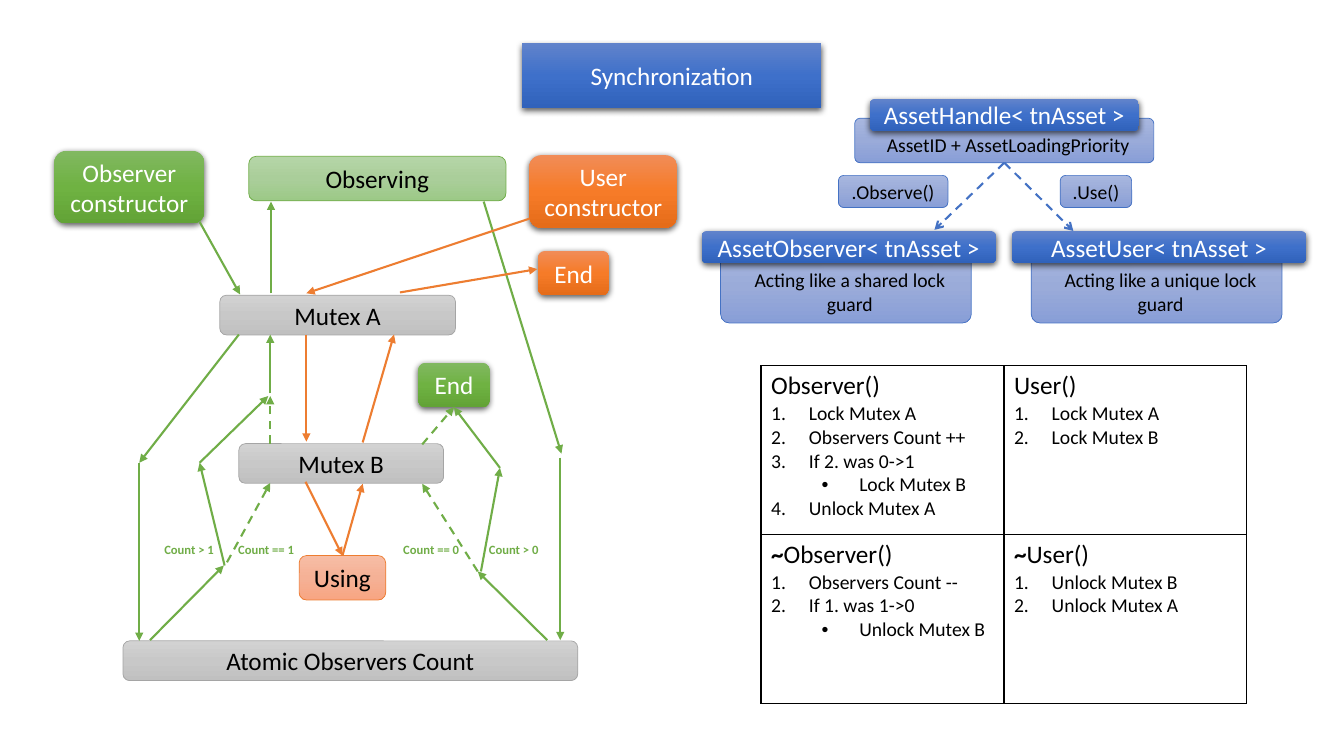
from collections import namedtuple
from copy import deepcopy

from lxml import etree
from pptx import Presentation
from pptx.dml.color import RGBColor
from pptx.enum.dml import MSO_LINE
from pptx.enum.shapes import MSO_CONNECTOR, MSO_SHAPE
from pptx.enum.text import MSO_ANCHOR, PP_ALIGN
from pptx.oxml import parse_xml
from pptx.oxml.ns import nsdecls, qn
from pptx.util import Cm, Pt

ROUNDED, STRAIGHT, DASH = MSO_SHAPE.ROUNDED_RECTANGLE, MSO_CONNECTOR.STRAIGHT, MSO_LINE.DASH
MIDDLE, BOTTOM, CENTER, LEFT = MSO_ANCHOR.MIDDLE, MSO_ANCHOR.BOTTOM, PP_ALIGN.CENTER, PP_ALIGN.LEFT
TOP_SIDE, BOTTOM_SIDE = 0, 2
FONT = "Calibri"

BLACK, WHITE = RGBColor(0, 0, 0), RGBColor(255, 255, 255)
BLUE, GREEN = RGBColor(0x44, 0x72, 0xC4), RGBColor(0x70, 0xAD, 0x47)
ORANGE, GRAY = RGBColor(0xED, 0x7D, 0x31), RGBColor(0xA5, 0xA5, 0xA5)


def shades(*codes):
    return [RGBColor.from_string(code) for code in codes]


# A look without an edge colour is raised by a shadow
Look = namedtuple("Look", "stops edge ink")
BLUE_STRONG = Look(shades("6183CB", "3E70CA", "3062BB"), None, WHITE)
GREEN_STRONG = Look(shades("81B861", "6FB242", "62A336"), None, WHITE)
ORANGE_STRONG = Look(shades("F18C57", "F67B28", "E56C19"), None, WHITE)
BLUE_SOFT = Look(shades("A8B7DF", "9AABD9", "889ED7"), BLUE, BLACK)
GREEN_SOFT = Look(shades("B5D5A7", "AACE9A", "9CC987"), GREEN, BLACK)
ORANGE_SOFT = Look(shades("F7BDA5", "F5B196", "F8A582"), ORANGE, BLACK)
GRAY_SOFT = Look(shades("D2D2D2", "C8C8C8", "C0C0C0"), GRAY, BLACK)


def set_font(para, size, color, bold=False):
    font = para.font
    font.name, font.size, font.bold = FONT, Pt(size), bold
    font.color.rgb = color


def paint(shape, look):
    shape.fill.gradient()
    shape.fill.gradient_angle = 270
    stop_list = shape.fill._xPr.find(".//" + qn("a:gsLst"))
    stop_list.insert(1, deepcopy(stop_list[0]))
    for stop, color, position in zip(shape.fill.gradient_stops, look.stops, (0, 0.5, 1)):
        stop.color.rgb, stop.position = color, position
    shape.shadow.inherit = False
    if look.edge is not None:
        shape.line.color.rgb, shape.line.width = look.edge, Pt(0.5)
        return
    shape.line.fill.background()
    effects = shape._element.spPr.find(qn("a:effectLst"))
    effects.append(parse_xml(
        f'<a:outerShdw {nsdecls("a")} blurRad="57150" dist="19050" dir="5400000" algn="ctr" '
        'rotWithShape="0"><a:srgbClr val="000000"><a:alpha val="63000"/></a:srgbClr></a:outerShdw>'))


def write(shape, text, size, color, anchor=MIDDLE, bold=False):
    frame = shape.text_frame
    frame.word_wrap, frame.vertical_anchor = True, anchor
    para = frame.paragraphs[0]
    para.text, para.alignment = text, CENTER
    set_font(para, size, color, bold)
    return para


def add_box(page, origin, left, top, width, height, text, look, size=18, anchor=MIDDLE):
    box = page.shapes.add_shape(ROUNDED, Cm(origin[0] + left), Cm(origin[1] + top),
                                Cm(width), Cm(height))
    paint(box, look)
    write(box, text, size, look.ink, anchor)
    return box


def add_arrow(page, origin, start, end, color, dashed=False, head="triangle"):
    """Each end is an (x, y) point or a (shape, side) pair to join."""
    def is_point(spot):
        return isinstance(spot[0], (int, float))

    ends = [[Cm(origin[i] + spot[i]) if is_point(spot) else 0 for i in (0, 1)]
            for spot in (start, end)]
    arrow = page.shapes.add_connector(STRAIGHT, *ends[0], *ends[1])
    if not is_point(start):
        arrow.begin_connect(*start)
    if not is_point(end):
        arrow.end_connect(*end)
    arrow.line.color.rgb, arrow.line.width = color, Pt(1.5)
    if dashed:
        arrow.line.dash_style = DASH
    etree.SubElement(arrow.line._get_or_add_ln(), qn("a:tailEnd"), type=head)
    etree.SubElement(arrow._element.spPr, qn("a:effectLst"))


def build_title(page, left, top):
    title = page.shapes.title
    title.left, title.top, title.width, title.height = Cm(left), Cm(top), Cm(7.54), Cm(1.63)
    title._element.spPr.insert(1, parse_xml(
        f'<a:prstGeom {nsdecls("a")} prst="roundRect"><a:avLst/></a:prstGeom>'))
    paint(title, BLUE_STRONG)
    write(title, "Synchronization", 18, WHITE)


def build_handles(page, *origin):
    # Cards: header left, top, width, name; body left, width, height, note
    cards = [
        (4.24, 0, 6.78, "AssetHandle< tnAsset >", 3.86, 7.54, 1.12, "AssetID + AssetLoadingPriority"),
        (7.82, 3.33, 7.42, "AssetUser< tnAsset >", 8.31, 6.32, 1.83, "Acting like a unique lock guard"),
        (0, 3.33, 7.42, "AssetObserver< tnAsset >", 0.48, 6.32, 1.83, "Acting like a shared lock guard"),
    ]
    bodies = []
    for left, top, width, name, body_left, body_width, body_height, note in cards:
        body = add_box(page, origin, body_left, top + 0.49, body_width, body_height,
                       note, BLUE_SOFT, 14, BOTTOM)
        body.adjustments[0] = 0.122
        body.text_frame.paragraphs[0]._p.get_or_add_pPr().set("marL", str(Cm(0.2)))
        bodies.append(body)
        add_box(page, origin, left, top, width, 0.81, name, BLUE_STRONG)
    for end in ((5.87, 3.3), (9.37, 3.33)):
        add_arrow(page, origin, (bodies[0], BOTTOM_SIDE), end, BLUE, True, "arrow")
    for left, width, call in ((3.45, 2.76, ".Observe()"), (9.04, 1.8, ".Use()")):
        add_box(page, origin, left, 1.93, width, 0.81, call, BLUE_SOFT, 14)


def build_flow(page, *origin):
    # Steps
    for step in [
        (4.17, 3.64, 5.94, 1, "Mutex A", GRAY_SOFT),
        (4.65, 7.38, 5.16, 1, "Mutex B", GRAY_SOFT),
        (1.73, 12.35, 11.46, 1, "Atomic Observers Count", GRAY_SOFT),
        (0, 0, 3.78, 1.83, "Observer constructor", GREEN_STRONG),
        (4.9, 0.14, 6.48, 1.12, "Observing", GREEN_SOFT),
        (11.97, 0.11, 3.73, 1.83, "User constructor", ORANGE_STRONG),
        (12.19, 2.52, 1.8, 1.12, "End", ORANGE_STRONG),
    ]:
        add_box(page, origin, *step)
    observer_end = add_box(page, origin, 9.17, 5.34, 1.8, 1.12, "End", GREEN_STRONG)
    using = add_box(page, origin, 6.17, 10.2, 2.18, 1.12, "Using", ORANGE_SOFT)
    released, used = (observer_end, BOTTOM_SIDE), (using, TOP_SIDE)

    # Observer route, with dashed branches for the first and last observer
    observer_route = [
        ((3.66, 1.79), (4.68, 3.62)), ((4.65, 4.63), (2.14, 7.86)),
        ((2.14, 7.86), (2.14, 12.35)), ((2.41, 12.33), (4.27, 10.45)),
        ((4.29, 10.45), (3.66, 7.86)), ((3.66, 7.86), (5.39, 6.18)),
        ((5.44, 6.11), (5.44, 4.63)), ((5.46, 3.59), (5.46, 1.28)),
        ((10.82, 1.28), (12.78, 7.63)), ((12.75, 7.73), (12.75, 12.33)),
        ((12.42, 12.33), (10.67, 10.6)), ((10.75, 10.6), (11.23, 7.99)),
        ((11.23, 7.99), released),
    ]
    lock_branches = [
        ((4.35, 10.37), (5.44, 8.37)), ((5.44, 7.38), (5.44, 6.18)),
        ((10.67, 10.6), (9.27, 8.39)), ((9.27, 7.4), released),
    ]
    user_route = [
        ((11.97, 1.71), (6.35, 3.59)), ((6.35, 4.63), (6.35, 7.33)),
        ((6.33, 8.34), used), (used, (7.77, 8.39)),
        ((7.77, 7.35), (8.56, 4.63)), ((8.71, 3.57), (12.17, 2.98)),
    ]
    for route, color, dashed in ((observer_route, GREEN, False), (lock_branches, GREEN, True),
                                 (user_route, ORANGE, False)):
        for start, end in route:
            add_arrow(page, origin, start, end, color, dashed)

    # Branch conditions
    for left, condition in ((2.41, "Count > 1"), (4.35, "Count == 1"),
                            (8.51, "Count == 0"), (10.59, "Count > 0")):
        label = page.shapes.add_textbox(Cm(origin[0] + left), Cm(origin[1] + 9.73), Cm(1.97), Cm(0.64))
        write(label, condition, 9, GREEN, bold=True)


def fill_cell(cell, heading, steps):
    borders = cell._tc.get_or_add_tcPr()
    for side in ("lnL", "lnR", "lnT", "lnB"):
        borders.append(parse_xml(
            f'<a:{side} {nsdecls("a")} w="12700"><a:solidFill><a:srgbClr val="{BLACK}"/>'
            f'</a:solidFill></a:{side}>'))
    cell.fill.background()
    frame = cell.text_frame
    para = frame.paragraphs[0]
    if heading.startswith("~"):
        tilde = para.add_run()
        tilde.text, tilde.font.bold = "~", True
    para.add_run().text = heading.lstrip("~")
    set_font(para, 18, BLACK)
    for level, step in steps:
        para = frame.add_paragraph()
        para.text, para.level, para.alignment = step, level, LEFT
        layout = para._p.get_or_add_pPr()
        layout.set("marL", str(Cm(0.95 + 1.27 * level)))
        layout.set("indent", str(-Cm(0.95)))
        if level:
            etree.SubElement(layout, qn("a:buFont"), typeface="Arial")
            etree.SubElement(layout, qn("a:buChar"), char="•")
        else:
            etree.SubElement(layout, qn("a:buFont"), typeface="+mj-lt")
            etree.SubElement(layout, qn("a:buAutoNum"), type="arabicPeriod")
        set_font(para, 14, BLACK)


def build_table(page, left, top, width, height):
    cells = [
        [("Observer()", [(0, "Lock Mutex A"), (0, "Observers Count ++"), (0, "If 2. was 0->1"),
                         (1, "Lock Mutex B"), (0, "Unlock Mutex A")]),
         ("User()", [(0, "Lock Mutex A"), (0, "Lock Mutex B")])],
        [("~Observer()", [(0, "Observers Count --"), (0, "If 1. was 1->0"), (1, "Unlock Mutex B")]),
         ("~User()", [(0, "Unlock Mutex B"), (0, "Unlock Mutex A")])],
    ]
    table = page.shapes.add_table(2, 2, Cm(left), Cm(top), Cm(width), Cm(height)).table
    table.first_row = table.horz_banding = False
    for row, line in enumerate(cells):
        for column, (heading, steps) in enumerate(line):
            fill_cell(table.cell(row, column), heading, steps)


def main():
    deck = Presentation()
    deck.slide_width, deck.slide_height = Cm(33.87), Cm(19.05)
    page = deck.slides.add_slide(deck.slide_layouts[5])
    build_title(page, 13.16, 1.09)
    build_handles(page, 17.68, 2.49)
    build_table(page, 19.18, 9.22, 12.24, 8.5)
    build_flow(page, 1.37, 3.8)
    deck.save("out.pptx")


if __name__ == "__main__":
    main()
